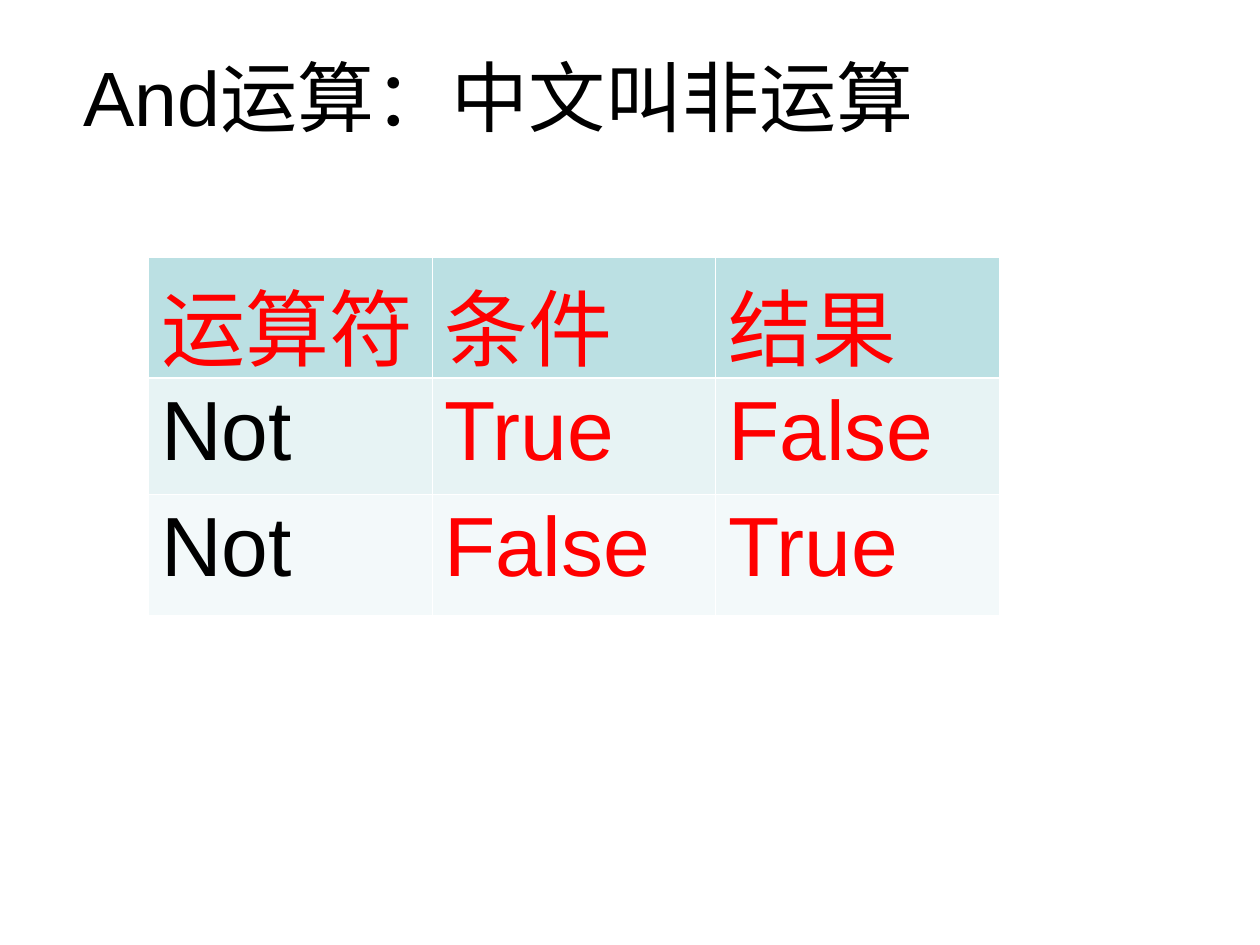
from lxml import etree
from pptx import Presentation
from pptx.dml.color import RGBColor
from pptx.enum.text import MSO_ANCHOR, PP_ALIGN
from pptx.oxml.ns import qn
from pptx.util import Inches, Pt

MIDDLE = MSO_ANCHOR.MIDDLE
CENTER = PP_ALIGN.CENTER
BLACK, RED, WHITE = "000000", "FF0000", "FFFFFF"
ROW_FILLS = ["BBE0E3", "E7F3F4", "F3F9FA"]
ROW_HEIGHTS = [0.128, 0.123, 0.128]
THIN, THICK = 0.45, 1.47

TRUTH_TABLE = [
    ["运算符", "条件", "结果"],
    ["Not", "True", "False"],
    ["Not", "False", "True"],
]


def color(hex_code):
    return RGBColor.from_string(hex_code)


def add_border(cell, side, width):
    """Draw one white cell edge; call before the fill, which must come later in the XML."""
    line = etree.SubElement(
        cell._tc.get_or_add_tcPr(), qn(f"a:ln{side}"), w=str(int(Pt(width)))
    )
    fill = etree.SubElement(line, qn("a:solidFill"))
    etree.SubElement(fill, qn("a:srgbClr"), val=WHITE)


class SlideBuilder:
    """Places elements by shares of the slide's width and height."""

    font_name = "Arial"

    def __init__(self, presentation):
        self.width = presentation.slide_width
        self.height = presentation.slide_height
        self.slide = presentation.slides.add_slide(presentation.slide_layouts[6])

    def area(self, left, top, width, height):
        return (
            int(left * self.width),
            int(top * self.height),
            int(width * self.width),
            int(height * self.height),
        )

    def set_text(self, frame, text, size, ink):
        frame.text = text
        font = frame.paragraphs[0].runs[0].font
        font.name = self.font_name
        font.size = Pt(size)
        font.bold = False
        font.color.rgb = color(ink)

    def title(self, text, *shares):
        frame = self.slide.shapes.add_textbox(*self.area(*shares)).text_frame
        frame.word_wrap = True
        frame.vertical_anchor = MIDDLE
        self.set_text(frame, text, 44, BLACK)
        frame.paragraphs[0].alignment = CENTER

    def table(self, rows, left, top, width):
        area = self.area(left, top, width, sum(ROW_HEIGHTS))
        table = self.slide.shapes.add_table(len(rows), len(rows[0]), *area).table
        table.first_row = table.horz_banding = False
        for r, values in enumerate(rows):
            table.rows[r].height = int(ROW_HEIGHTS[r] * self.height)
            for c, value in enumerate(values):
                cell = table.cell(r, c)
                add_border(cell, "L", THIN)
                add_border(cell, "R", THIN)
                add_border(cell, "T", THICK if r == 1 else THIN)
                add_border(cell, "B", THICK if r == 0 else THIN)
                cell.fill.solid()
                cell.fill.fore_color.rgb = color(ROW_FILLS[r])
                ink = BLACK if value == "Not" else RED
                self.set_text(cell.text_frame, value, 48, ink)


def main():
    presentation = Presentation()
    presentation.slide_width = Inches(10)
    presentation.slide_height = Inches(7.5)
    builder = SlideBuilder(presentation)
    builder.title("And运算：中文叫非运算", -0.054, 0.015, 0.9, 0.172)
    builder.table(TRUTH_TABLE, 0.118, 0.272, 0.675)
    presentation.save("out.pptx")


if __name__ == "__main__":
    main()
